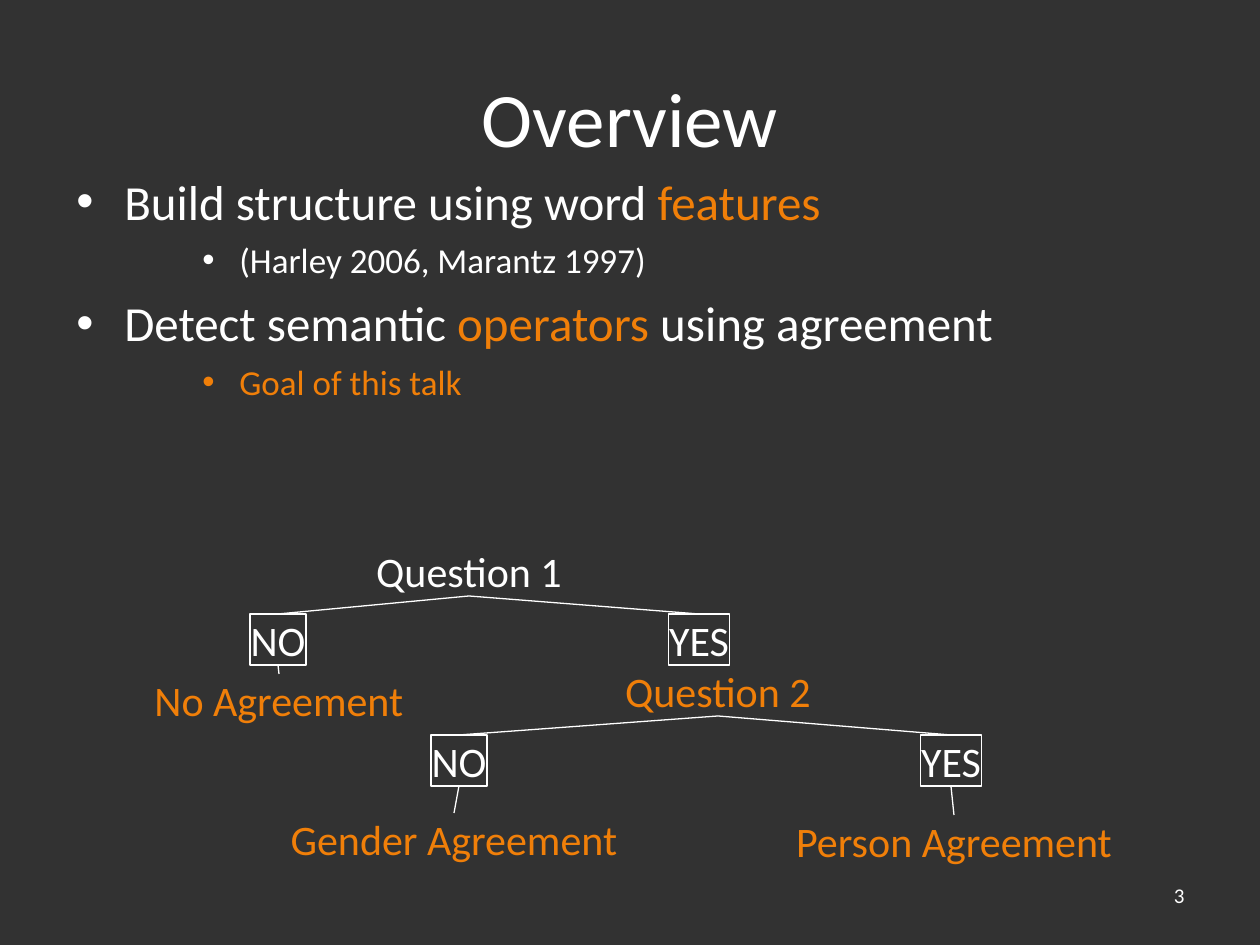
"""Build the Overview slide: bulleted aims above a decision tree of agreement questions."""
from dataclasses import dataclass

from lxml.etree import SubElement
from pptx import Presentation
from pptx.dml.color import RGBColor as RGB
from pptx.enum.shapes import MSO_CONNECTOR as CONNECTOR, MSO_SHAPE as SHAPE
from pptx.enum.text import MSO_ANCHOR as ANCHOR, MSO_AUTO_SIZE as AUTO, PP_ALIGN as ALIGN
from pptx.oxml.ns import qn
from pptx.util import Emu, Pt


@dataclass(frozen=True)
class Theme:
    font: str = "Calibri"
    ground: str = "323232"
    plain: str = "FFFFFF"
    accent: str = "F07F09"
    title: int = 44
    aim: int = 28
    detail: int = 20
    node: int = 24
    number: int = 12
    rule: float = 0.75


THEME = Theme()
TITLE = "Overview"
NUMBER = "3"
AIMS = [
    (0, [("Build structure using word ", THEME.plain), ("features", THEME.accent)]),
    (2, [("(Harley 2006, Marantz 1997)", THEME.plain)]),
    (0, [("Detect semantic ", THEME.plain), ("operators", THEME.accent),
         (" using agreement", THEME.plain)]),
    (2, [("Goal of this talk", THEME.accent)]),
]
LEVELS = {0: (THEME.aim, 7, 48, 48), 2: (THEME.detail, 5, 163, 37)}
NODE_HEIGHT = 51
NODES = {
    "first": ("Question 1", 469, 545, 186, False, THEME.plain),
    "first no": ("NO", 278, 614, 56, True, THEME.plain),
    "first yes": ("YES", 699, 614, 61, True, THEME.plain),
    "none": ("No Agreement", 279, 674, 250, False, THEME.accent),
    "second": ("Question 2", 718, 665, 186, False, THEME.accent),
    "second no": ("NO", 459, 735, 56, True, THEME.plain),
    "second yes": ("YES", 951, 735, 61, True, THEME.plain),
    "gender": ("Gender Agreement", 454, 813, 328, False, THEME.accent),
    "person": ("Person Agreement", 954, 815, 319, False, THEME.accent),
}
BRANCHES = [
    ("first", "first no"), ("first", "first yes"),
    ("first no", "none"), ("first yes", "second"),
    ("second", "second no"), ("second", "second yes"),
    ("second no", "gender"), ("second yes", "person"),
]
BOTTOM_SITE, TOP_SITE = 2, 0


def px(length):
    return Emu(round(length * 914400 / 126))


def style(run, size, color):
    run.font.name = THEME.font
    run.font.size = Pt(size)
    run.font.color.rgb = RGB.from_string(color)


def add_label(slide, text, box, size, align, anchor=ANCHOR.TOP):
    label = slide.shapes.add_textbox(*map(px, box))
    frame = label.text_frame
    frame.text = text
    frame.word_wrap = True
    frame.vertical_anchor = anchor
    frame.paragraphs[0].alignment = align
    style(frame.paragraphs[0].runs[0], size, THEME.plain)


def add_bullet(paragraph, color, margin, hang):
    props = paragraph._p.get_or_add_pPr()
    props.set("marL", str(px(margin)))
    props.set("indent", str(-px(hang)))
    SubElement(SubElement(props, qn("a:buClr")), qn("a:srgbClr"), val=color)
    SubElement(props, qn("a:buFont"), typeface="Arial")
    SubElement(props, qn("a:buChar"), char="•")


def add_aims(slide):
    frame = slide.shapes.add_textbox(*map(px, (64, 165, 1134, 745))).text_frame
    frame.word_wrap = True
    for index, (level, parts) in enumerate(AIMS):
        aim = frame.add_paragraph() if index else frame.paragraphs[0]
        size, before, margin, hang = LEVELS[level]
        aim.level = level
        add_bullet(aim, parts[0][1], margin, hang)
        if index:
            aim.space_before = Pt(before)
        for text, color in parts:
            run = aim.add_run()
            run.text = text
            style(run, size, color)


def add_node(slide, text, center, top, width, boxed, color):
    box = [px(v) for v in (center - width / 2, top, width, NODE_HEIGHT)]
    node = slide.shapes.add_shape(SHAPE.RECTANGLE, *box)
    node.shadow.inherit = False
    node.fill.background()
    if boxed:
        node.line.color.rgb = RGB.from_string(THEME.plain)
        node.line.width = Pt(THEME.rule)
    else:
        node.line.fill.background()
    frame = node.text_frame
    frame.text = text
    frame.margin_left = frame.margin_right = frame.margin_top = frame.margin_bottom = 0
    frame.word_wrap = False
    frame.auto_size = AUTO.SHAPE_TO_FIT_TEXT
    frame.vertical_anchor = ANCHOR.MIDDLE
    frame.paragraphs[0].alignment = ALIGN.CENTER
    style(frame.paragraphs[0].runs[0], THEME.node, color)
    return node


def add_branch(slide, parent, child):
    branch = slide.shapes.add_connector(CONNECTOR.STRAIGHT, 0, 0, 0, 0)
    branch.begin_connect(parent, BOTTOM_SITE)
    branch.end_connect(child, TOP_SITE)
    branch.line.color.rgb = RGB.from_string(THEME.plain)
    branch.line.width = Pt(THEME.rule)
    SubElement(branch._element.spPr, qn("a:effectLst"))


def main():
    deck = Presentation()
    deck.slide_width, deck.slide_height = px(1260), px(945)
    slide = deck.slides.add_slide(deck.slide_layouts[6])
    slide.background.fill.solid()
    slide.background.fill.fore_color.rgb = RGB.from_string(THEME.ground)
    add_label(slide, TITLE, (63, 38, 1134, 158), THEME.title, ALIGN.CENTER, ANCHOR.MIDDLE)
    add_aims(slide)
    tree = {key: add_node(slide, *node) for key, node in NODES.items()}
    for parent, child in BRANCHES:
        add_branch(slide, tree[parent], tree[child])
    add_label(slide, NUMBER, (903, 876, 294, 50), THEME.number, ALIGN.RIGHT)
    deck.save("out.pptx")


if __name__ == "__main__":
    main()
